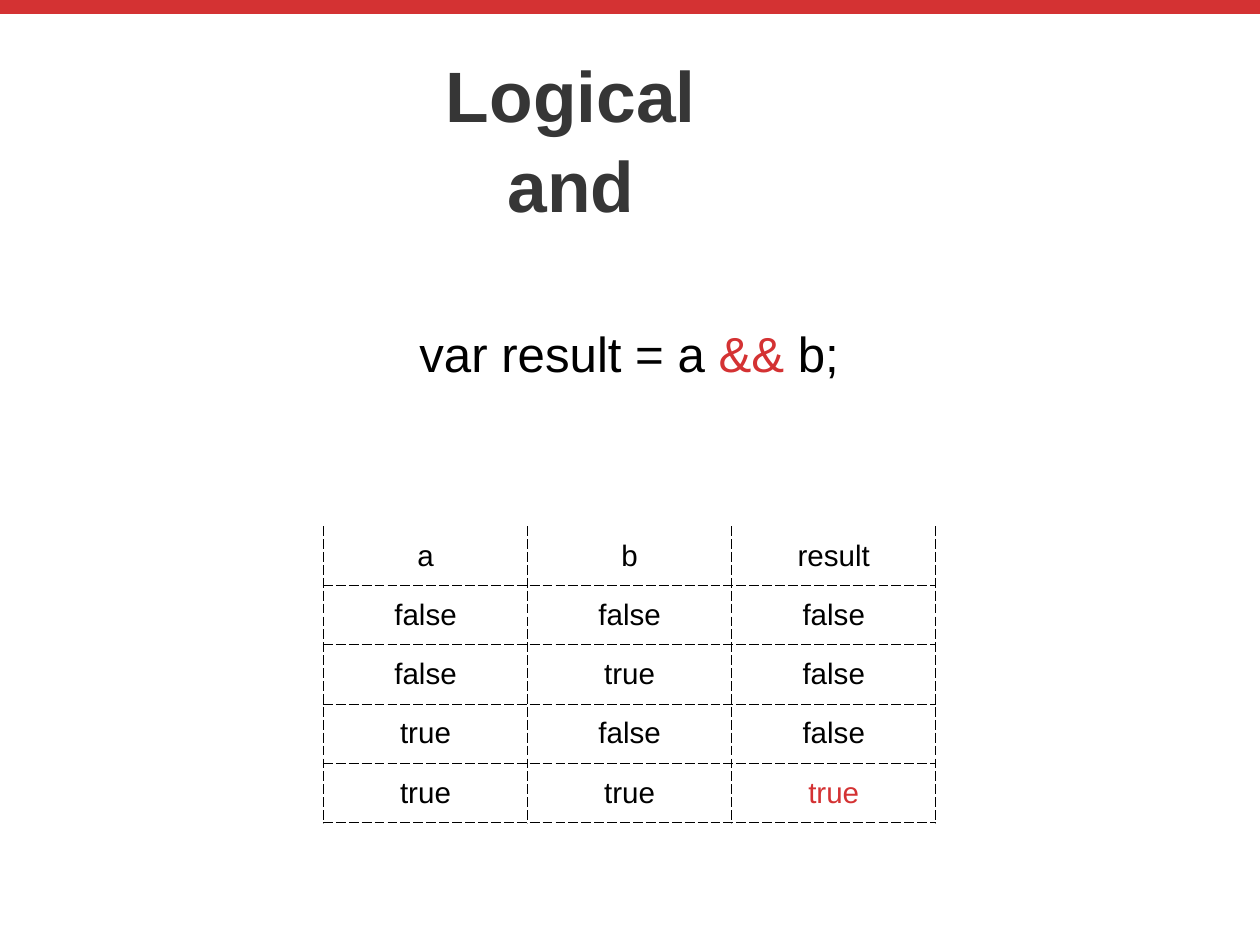
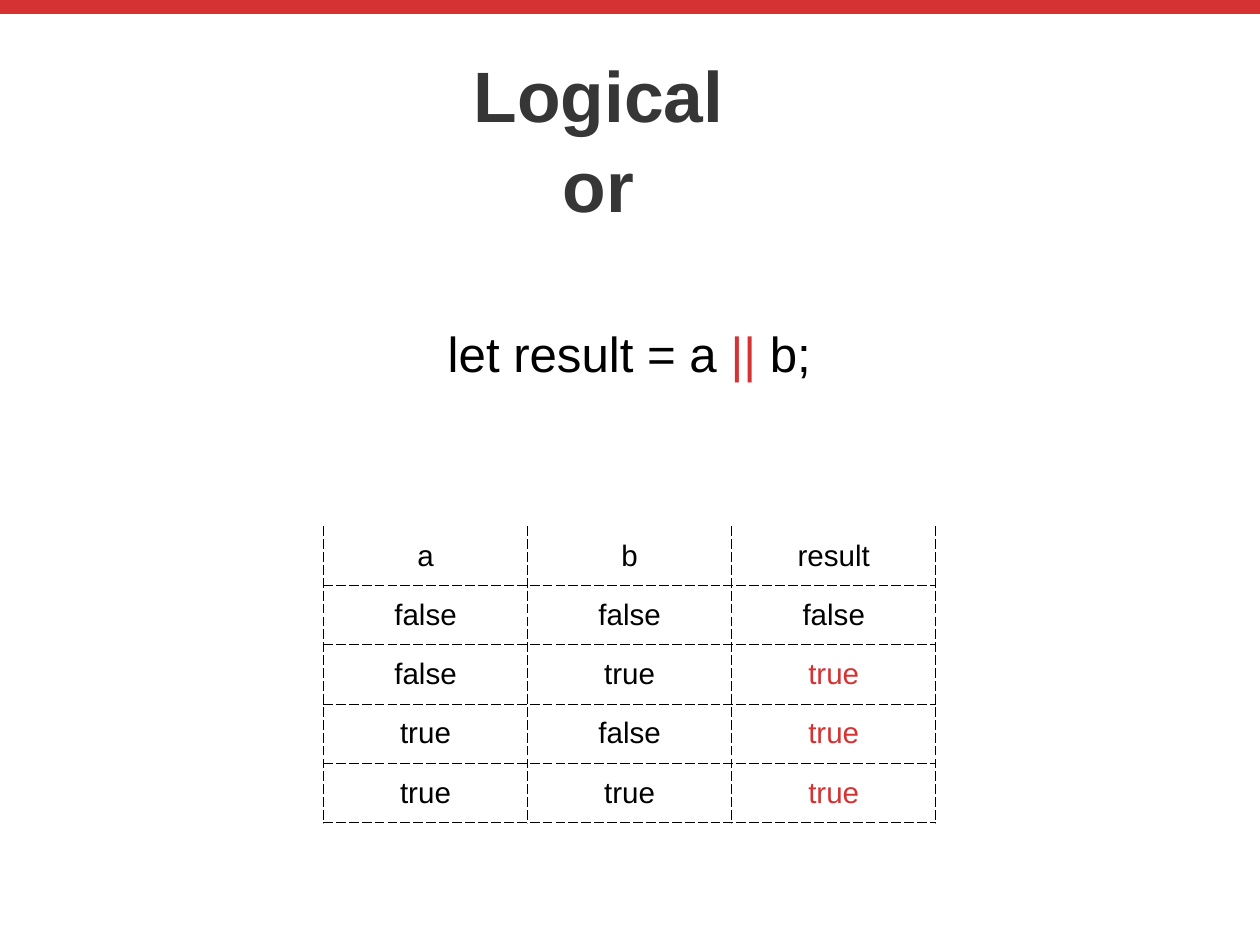
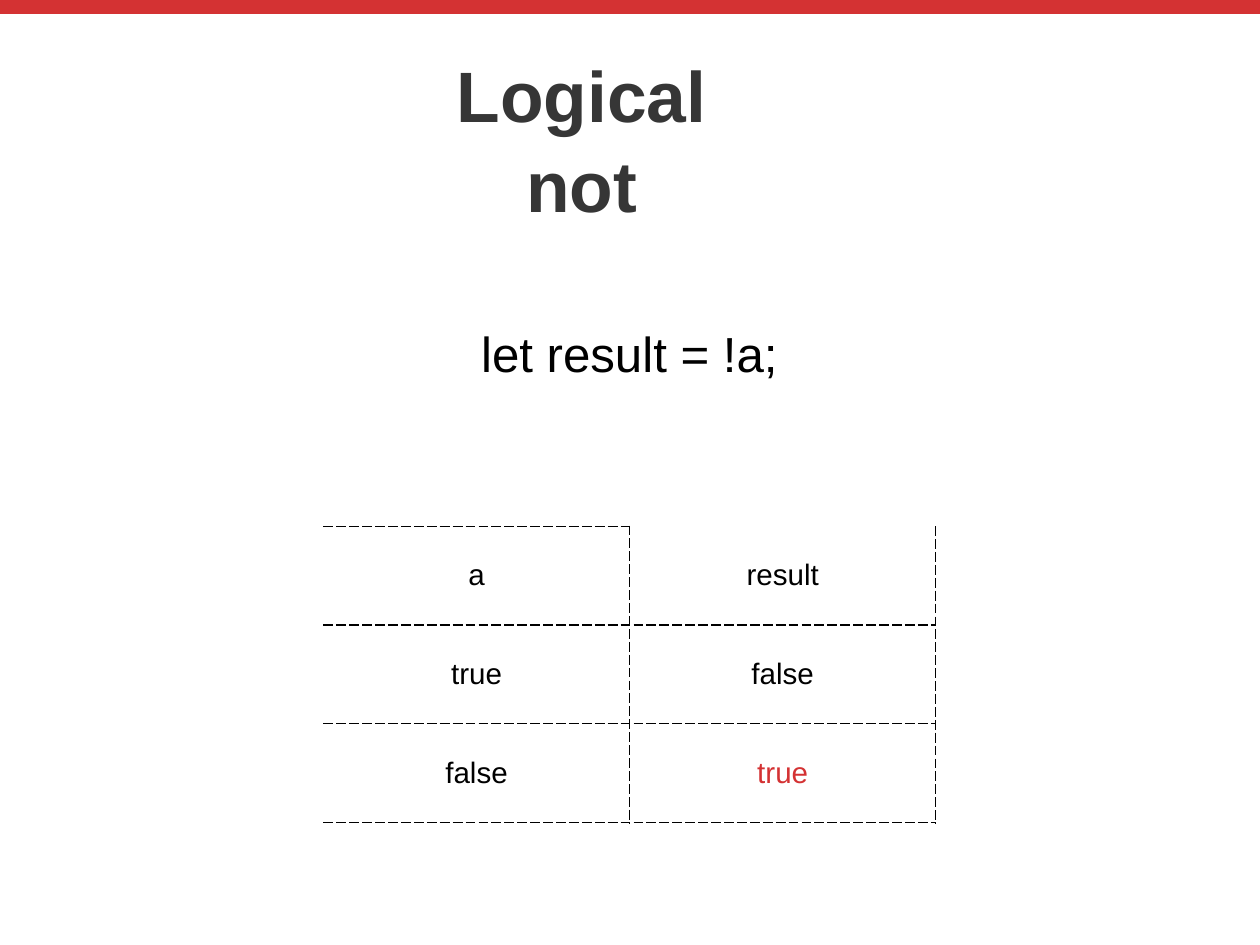
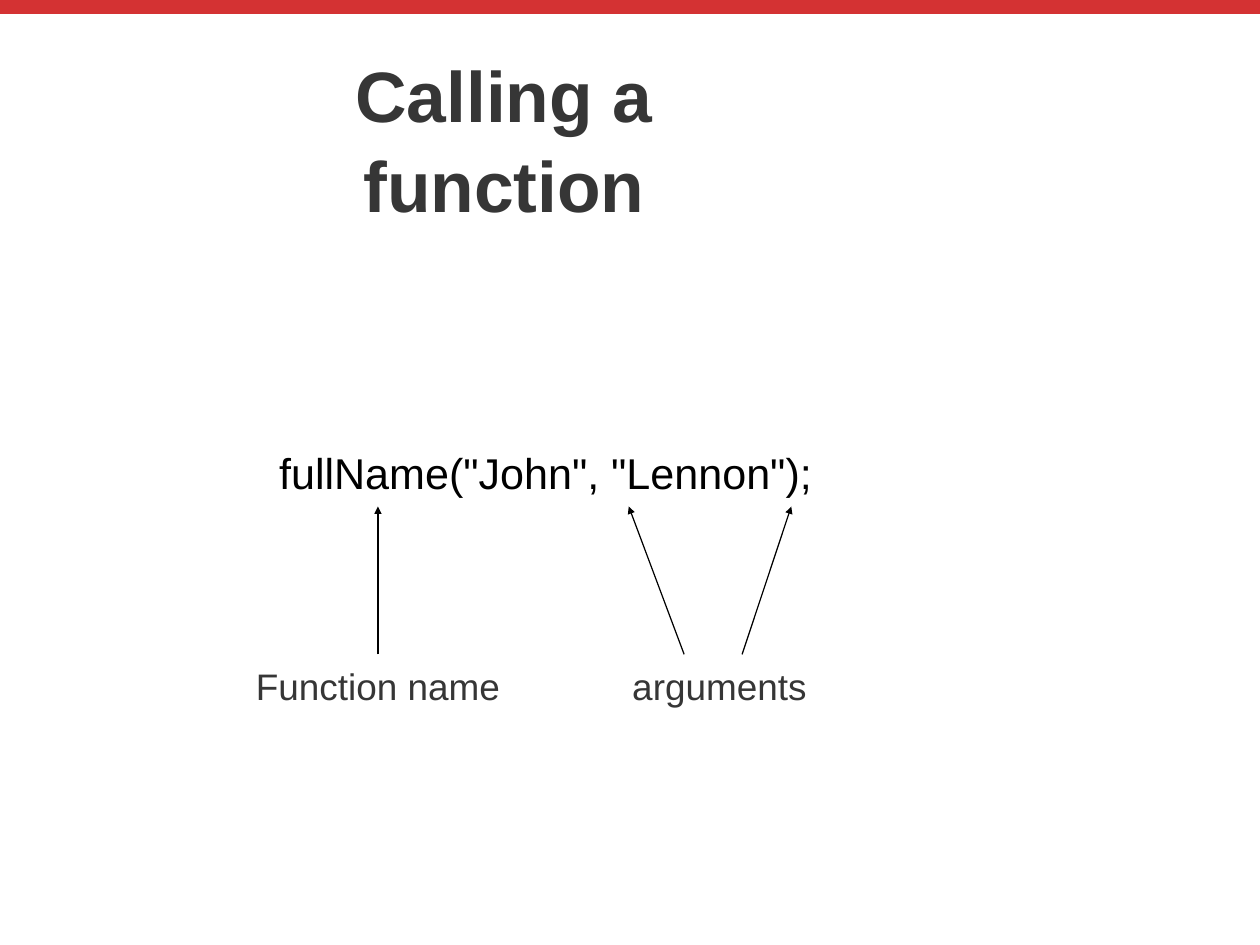
from lxml import etree
from pptx import Presentation
from pptx.dml.color import RGBColor
from pptx.enum.shapes import MSO_CONNECTOR
from pptx.enum.text import MSO_ANCHOR, MSO_AUTO_SIZE, PP_ALIGN
from pptx.oxml import parse_xml
from pptx.oxml.ns import nsdecls, qn
from pptx.util import Inches, Pt

RED = RGBColor(0xD4, 0x32, 0x33)
GREY = RGBColor(0x36, 0x36, 0x36)
BLACK = RGBColor(0, 0, 0)
FONT = "Arial"
LEFT, MID = PP_ALIGN.LEFT, PP_ALIGN.CENTER
MIDDLE = MSO_ANCHOR.MIDDLE
NO_FIT = MSO_AUTO_SIZE.NONE
STRAIGHT = MSO_CONNECTOR.STRAIGHT

WIDE, HIGH = Inches(14.22), Inches(10.67)
TITLE_TOP, TITLE_WIDE, TITLE_HIGH = 5.1, 24.6, 18.8
CODE_TOP = 34
TABLE_BOX = (25.67, 55.67, 48.6, 31.4)


def place(x, y, w, h):
    """Turn percentages of the slide's size into lengths."""
    return (int(WIDE * x / 100), int(HIGH * y / 100),
            int(WIDE * w / 100), int(HIGH * h / 100))


def paint(run, size, color, bold=False):
    font = run.font
    font.name, font.size, font.bold = FONT, Pt(size), bold
    font.color.rgb = color


def frame_up(frame):
    frame.word_wrap = True
    frame.auto_size = NO_FIT
    frame.vertical_anchor = MIDDLE
    frame.margin_left = frame.margin_right = Inches(0.04)
    frame.margin_top = frame.margin_bottom = Inches(0.04)


def add_line(slide, start, end, color, width, arrow=False):
    line = slide.shapes.add_connector(STRAIGHT, *place(*start, *end))
    line.line.color.rgb = color
    line.line.width = Pt(width)
    props = line.element.spPr
    if arrow:
        etree.SubElement(props.find(qn("a:ln")), qn("a:tailEnd"), type="triangle")
    etree.SubElement(props, qn("a:effectLst"))
    return line


def add_band(slide):
    """Draw the red top band and hand it to the master."""
    band = add_line(slide, (0, 0.75), (100, 0.75), RED, 12)
    slide.slide_layout.slide_master.shapes.element.append(band.element)


def style_title(master):
    style = master.element.find(".//" + qn("p:titleStyle"))
    old = style.find(qn("a:lvl1pPr")).find(qn("a:defRPr"))
    new = parse_xml(
        f'<a:defRPr {nsdecls("a")} sz="5800" b="1"><a:solidFill>'
        f'<a:srgbClr val="{GREY}"/></a:solidFill>'
        f'<a:latin typeface="{FONT}"/></a:defRPr>')
    old.getparent().replace(old, new)


def add_slide(deck, title, center):
    slide = deck.slides.add_slide(deck.slide_layouts[5])
    head = slide.shapes.title
    head.left, head.top, head.width, head.height = place(
        center - TITLE_WIDE / 2, TITLE_TOP, TITLE_WIDE, TITLE_HIGH)
    frame = head.text_frame
    frame.text = title
    frame_up(frame)
    frame.paragraphs[0].alignment = MID
    frame.paragraphs[0].line_spacing = 1.05
    return slide


def add_text(slide, box, parts, size, align=LEFT):
    """Add one line of text made of (text, colour) parts."""
    frame = slide.shapes.add_textbox(*place(*box)).text_frame
    frame_up(frame)
    line = frame.paragraphs[0]
    line.alignment = align
    for text, color in parts:
        run = line.add_run()
        run.text = text
        paint(run, size, color)


def edge_cell(cell, sides):
    """Draw dashed borders on the given sides and clear the others."""
    props = cell._tc.get_or_add_tcPr()
    for spot, side in enumerate("LRTB"):
        ink = (f'<a:solidFill><a:srgbClr val="{BLACK}"/></a:solidFill>'
               '<a:prstDash val="lgDash"/>' if side in sides else "<a:noFill/>")
        props.insert(spot, parse_xml(
            f'<a:ln{side} {nsdecls("a")} w="{Pt(1)}">{ink}</a:ln{side}>'))


def add_truth(slide, box, rows, sides):
    """Add a truth table; sides(row, col) names the borders of a cell."""
    x, y, w, h = place(*box)
    count = len(rows[0])
    table = slide.shapes.add_table(len(rows), count, x, y, w, h).table
    table.first_row = table.horz_banding = False
    for r, row in enumerate(rows):
        for c, text in enumerate(row):
            cell = table.cell(r, c)
            cell.text = text
            cell.fill.background()
            cell.vertical_anchor = MIDDLE
            cell.margin_left = cell.margin_right = Inches(0.06)
            cell.margin_top = cell.margin_bottom = Inches(0.06)
            line = cell.text_frame.paragraphs[0]
            line.alignment = MID
            hit = c == count - 1 and text == "true"
            paint(line.runs[0], 24, RED if hit else BLACK)
            edge_cell(cell, sides(r, c))


def full_sides(row, col):
    return "LRB" if row == 0 else "LRTB"


def open_sides(row, col):
    if col == 0:
        return "RTB"
    return full_sides(row, col)


def logic_slide(deck, title, center, code_left, code, rows, sides):
    slide = add_slide(deck, title, center)
    add_text(slide, (code_left, CODE_TOP, 47.75, 6.75), code, 40)
    add_truth(slide, TABLE_BOX, rows, sides)
    return slide


def call_slide(deck):
    slide = add_slide(deck, "Calling a function", 40)
    add_text(slide, (21.87, 46.95, 56.25, 6),
             [('fullName("John", "Lennon");', BLACK)], 35)
    for text, left, width in (("Function name", 20, 20), ("arguments", 49.8, 14.6)):
        add_text(slide, (left, 69.8, width, 5.45), [(text, GREY)], 30, MID)
    for foot, tip in ((58.9, 62.8), (54.3, 49.9), (30, 30)):
        add_line(slide, (foot, 69.25), (tip, 53.6), BLACK, 1, arrow=True)


def pair_rows(results):
    """List both inputs in counting order beside their results."""
    words = ("false", "true")
    pairs = [(a, b) for a in words for b in words]
    return [("a", "b", "result")] + [
        (*pair, words[value]) for pair, value in zip(pairs, results)]


def main():
    deck = Presentation()
    deck.slide_width, deck.slide_height = WIDE, HIGH
    style_title(deck.slide_master)
    first = logic_slide(
        deck, "Logical and", 45.3, 33,
        [("var result = a ", BLACK), ("&&", RED), (" b;", BLACK)],
        pair_rows((0, 0, 0, 1)), full_sides)
    add_band(first)
    logic_slide(
        deck, "Logical or", 47.5, 35.25,
        [("let result = a ", BLACK), ("||", RED), (" b;", BLACK)],
        pair_rows((0, 1, 1, 1)), full_sides)
    logic_slide(
        deck, "Logical not", 46.15, 37.9, [("let result = !a;", BLACK)],
        [("a", "result"), ("true", "false"), ("false", "true")], open_sides)
    call_slide(deck)
    deck.save("out.pptx")


if __name__ == "__main__":
    main()
